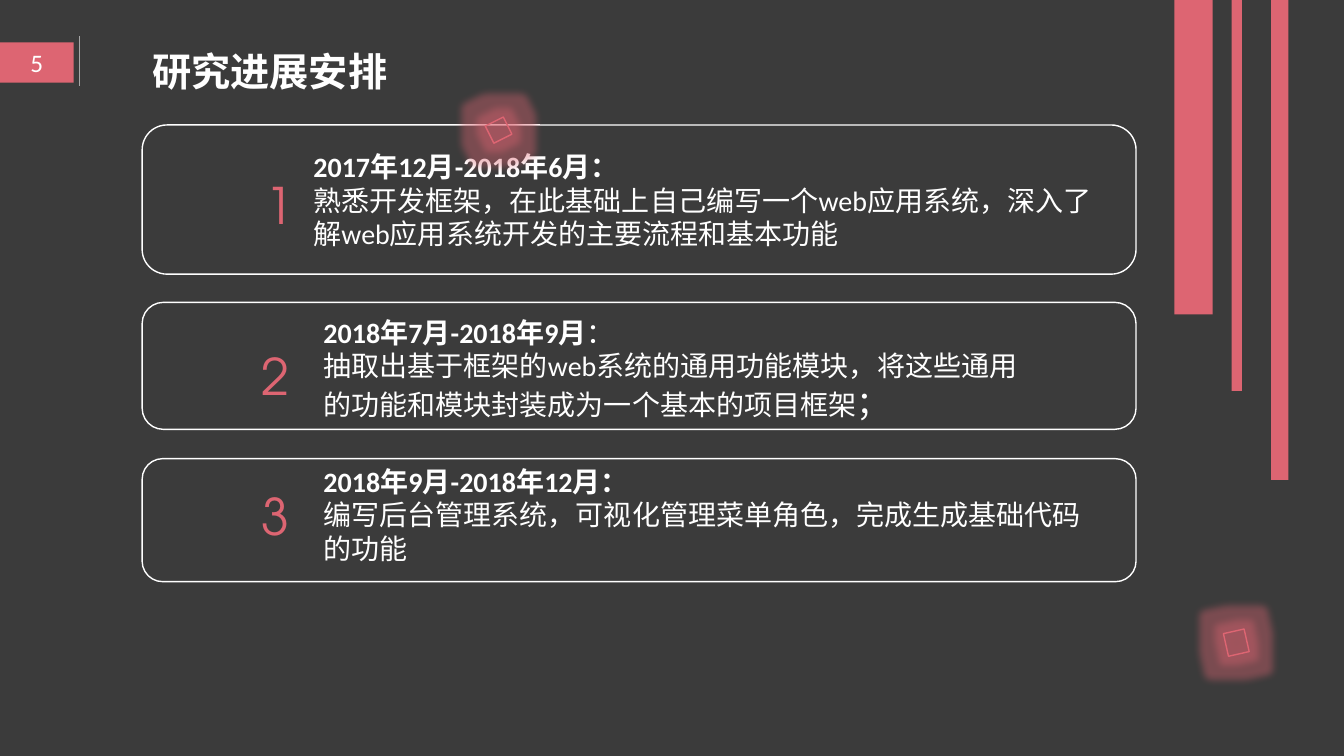
import pptx
import pptx.util
import pptx.dml.color
import pptx.enum.lang
import pptx.enum.shapes
import pptx.enum.text
import pptx.oxml
import pptx.oxml.ns

RGBColor = pptx.dml.color.RGBColor
SHAPES = pptx.enum.shapes.MSO_SHAPE
ALIGN = pptx.enum.text.PP_ALIGN
ANCHOR = pptx.enum.text.MSO_ANCHOR

CHARCOAL = RGBColor(0x3B, 0x3B, 0x3B)
ROSE = RGBColor(0xDD, 0x65, 0x72)
WHITE = RGBColor(0xFF, 0xFF, 0xFF)
GREY = RGBColor(0xA6, 0xA6, 0xA6)

deck = pptx.Presentation()
deck.slide_width = pptx.util.Inches(13.33)
deck.slide_height = pptx.util.Inches(7.5)
COLUMN = deck.slide_width / 100
ROW = deck.slide_height / 100

page = deck.slides.add_slide(deck.slide_layouts[5])
page.background.fill.solid()
page.background.fill.fore_color.rgb = CHARCOAL


def write(holder, paragraphs, size=20, font="Calibri", color=WHITE,
          align=ALIGN.LEFT, anchor=ANCHOR.MIDDLE, wrap=True):
    """Fill a shape; each paragraph is a list of (text, bold, size or None)."""
    frame = holder.text_frame
    frame.auto_size = pptx.enum.text.MSO_AUTO_SIZE.NONE
    frame.word_wrap = wrap
    frame.vertical_anchor = anchor
    for index, spans in enumerate(paragraphs):
        para = frame.add_paragraph() if index else frame.paragraphs[0]
        para.alignment = align
        for text, bold, own_size in spans:
            span = para.add_run()
            span.text = text
            span.font.size = pptx.util.Pt(own_size or size)
            span.font.bold = bold
            span.font.name = font
            span.font.color.rgb = color
            span.font.language_id = pptx.enum.lang.MSO_LANGUAGE_ID.SIMPLIFIED_CHINESE
            latin = span.font._element.find(pptx.oxml.ns.qn("a:latin"))
            latin.addnext(pptx.oxml.parse_xml(
                f'<a:ea {pptx.oxml.ns.nsdecls("a")} typeface="{font}"/>'))


def draw(kind, left, top, width, height, fill=None, line=None, rotation=0, effect=""):
    """Add a preset shape placed in columns and rows, with an optional effect."""
    shape = page.shapes.add_shape(kind, round(left * COLUMN), round(top * ROW),
                                  round(width * COLUMN), round(height * ROW))
    shape.rotation = rotation
    if fill is None:
        shape.fill.background()
    else:
        shape.fill.solid()
        shape.fill.fore_color.rgb = fill
    if line is None:
        shape.line.fill.background()
    else:
        shape.line.color.rgb = line
        shape.line.width = pptx.util.Pt(1)
    shape.shadow.inherit = False
    if effect:
        effects = shape._element.spPr.find(pptx.oxml.ns.qn("a:effectLst"))
        effects.append(pptx.oxml.parse_xml(effect))
    return shape


NAMESPACE = pptx.oxml.ns.nsdecls("a")
GLOW = (f'<a:glow {NAMESPACE} rad="139700"><a:srgbClr val="{ROSE}">'
        '<a:alpha val="40000"/></a:srgbClr></a:glow>')
SOFT_EDGE = f'<a:softEdge {NAMESPACE} rad="127000"/>'

draw(SHAPES.RECTANGLE, 4.28, 52.4, 1.95, 3.47, ROSE, ROSE, 47.8, SOFT_EDGE)

# Stages: card (top, height), text box, number (right edge, top), paragraphs
stages = [
    ((16.53, 19.73), (22.58, 19.07, 60.75, 14.8), (22.58, 22.27),
     [[("2017年12月-2018年6月：", True, None)],
      [("熟悉开发框架，在此基础上自己编写一个web应用系统，"
        "深入了解web应用系统开发的主要流程和基本功能", False, None)]]),
    ((40, 16.8), (23.33, 40.93, 53.78, 15.73), (22.28, 44.93),
     [[("2018年7月-2018年9月", True, None), ("：", False, None)],
      [("抽取出基于框架的web系统的通用功能模块，"
        "将这些通用的功能和模块封装成为一个基本的项目框架", False, None),
       ("；", False, 24)]]),
    ((60.67, 16.27), (23.33, 60.67, 58.95, 14.8), (22.28, 63.47),
     [[("2018年9月-2018年12月：", True, None)],
      [("编写后台管理系统，可视化管理菜单角色，完成生成基础代码的功能", False, None)]]),
]
CARD_LEFT, CARD_WIDTH = 10.58, 73.95
NUMBER_WIDTH, NUMBER_HEIGHT = 8.7, 9.47
for number, (card, area, (number_right, number_top), paragraphs) in enumerate(stages, 1):
    draw(SHAPES.ROUNDED_RECTANGLE, CARD_LEFT, card[0], CARD_WIDTH, card[1], line=WHITE)
    left, top, width, height = area
    details = page.shapes.add_textbox(round(left * COLUMN), round(top * ROW),
                                      round(width * COLUMN), round(height * ROW))
    write(details, paragraphs)
    label = page.shapes.add_textbox(
        round((number_right - NUMBER_WIDTH) * COLUMN), round(number_top * ROW),
        round(NUMBER_WIDTH * COLUMN), round(NUMBER_HEIGHT * ROW))
    write(label, [[(str(number), False, None)]], size=36, font="TeX Gyre Adventor",
          color=ROSE, align=ALIGN.RIGHT)

# Heading with its page tag
tag = draw(SHAPES.RECTANGLE, 0, 5.6, 5.48, 5.33, fill=ROSE)
write(tag, [[("5", False, None)]], size=18, align=ALIGN.CENTER)

divider = page.shapes.add_connector(
    pptx.enum.shapes.MSO_CONNECTOR.STRAIGHT,
    round(5.93 * COLUMN), round(4.8 * ROW), round(5.93 * COLUMN), round(11.33 * ROW))
divider.line.color.rgb = GREY
divider.line.width = pptx.util.Pt(0.5)
divider._element.spPr.append(pptx.oxml.parse_xml(f"<a:effectLst {NAMESPACE}/>"))

title = page.shapes.title
title.left, title.top = round(CARD_LEFT * COLUMN), round(5.6 * ROW)
title.width, title.height = round(19 * COLUMN), round(7.6 * ROW)
write(title, [[("研究进展安排", True, None)]], size=28, font="Noto Sans CJK TC",
      anchor=ANCHOR.TOP, wrap=False)

# Glowing squares and hanging bars
for left, top, width, height, rotation in [
    (91.2, 83.47, 1.58, 3.07, 347.3),
    (36.38, 15.87, 1.43, 2.67, 243.4),
]:
    draw(SHAPES.RECTANGLE, left, top, width, height,
         line=ROSE, rotation=rotation, effect=GLOW)

for left, width, height in [(87.38, 2.85, 41.6), (94.58, 1.28, 63.47), (91.65, 0.75, 51.7)]:
    draw(SHAPES.RECTANGLE, left, 0, width, height, fill=ROSE)

deck.save("out.pptx")
